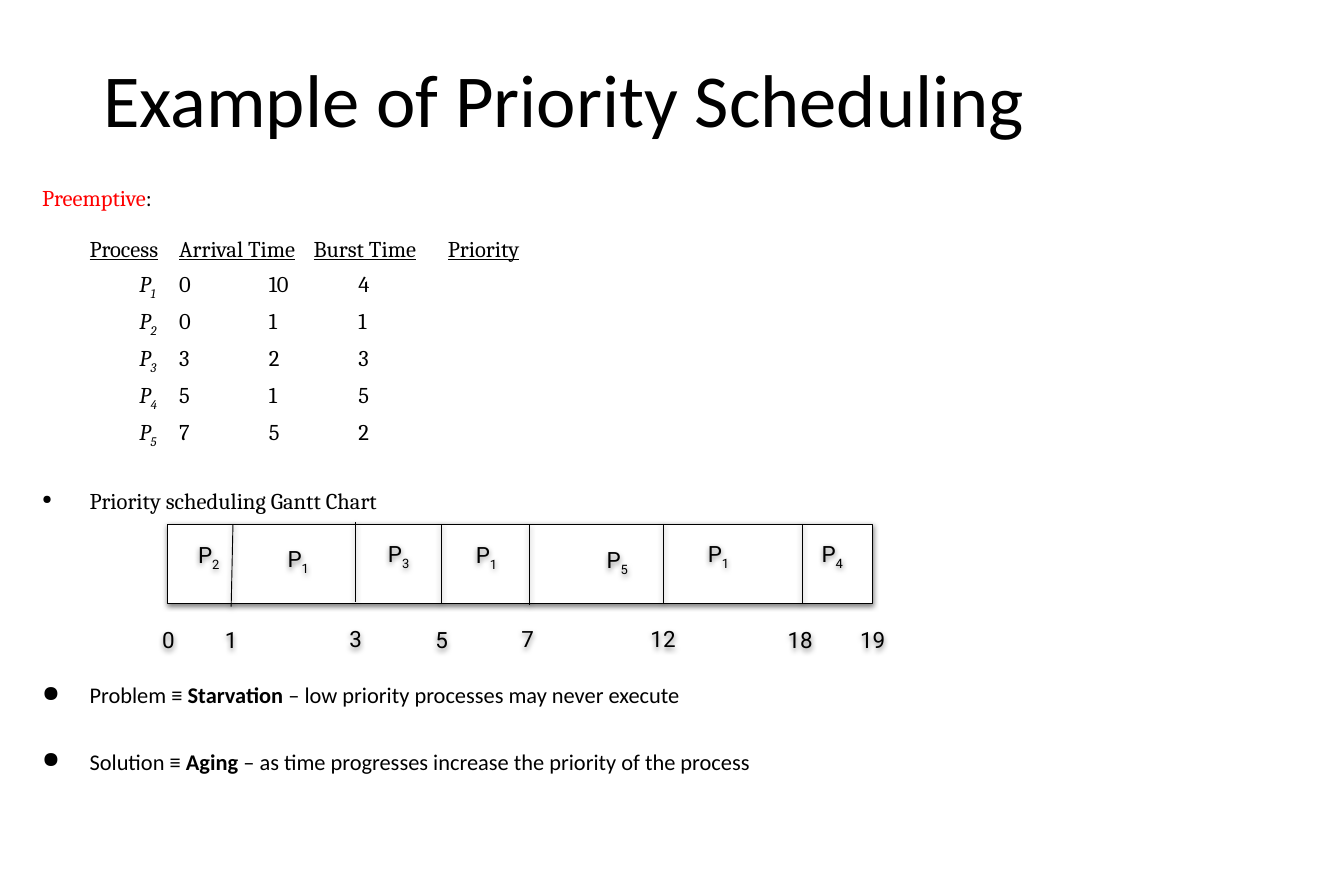
from dataclasses import dataclass

import pptx
import pptx.dml.color
import pptx.enum.shapes
import pptx.enum.text
import pptx.oxml
import pptx.oxml.ns
import pptx.util

EMU_PER_PX = 9144  # 100 px to the inch


@dataclass(frozen=True)
class Theme:
    black: str = "000000"
    white: str = "FFFFFF"
    red: str = "FF0000"
    sans: str = "Calibri"
    serif: str = "Cambria"
    label: str = "Roboto"
    title_size: float = 60
    table_size: float = 18.1
    text_size: float = 18
    line_width: float = 0.75


THEME = Theme()


@dataclass(frozen=True)
class Style:
    font: str
    size: float
    color: str = THEME.black
    bold: bool = False
    italic: bool = False
    underline: bool = False
    subscript: bool = False


@dataclass(frozen=True)
class Box:
    left: int
    top: int
    width: int
    height: int


@dataclass(frozen=True)
class Process:
    number: str
    arrival: str
    burst: str
    priority: str


@dataclass(frozen=True)
class Label:
    text: str
    left: int
    top: int
    subscript: str = ""


@dataclass(frozen=True)
class Divider:
    x: int
    top: int = 585
    height: int = 89
    lean: int = 0


PROCESSES = [
    Process("1", "0", "10", "4"),
    Process("2", "0", "1", "1"),
    Process("3", "3", "2", "3"),
    Process("4", "5", "1", "5"),
    Process("5", "7", "5", "2"),
]
GANTT_BAR = Box(187, 585, 787, 89)
DIVIDERS = [
    Divider(260, height=92, lean=-2), Divider(397, top=583), Divider(493),
    Divider(591, top=586), Divider(741), Divider(896),
]
LABELS = [
    Label("P", 210, 601, "2"), Label("P", 310, 606, "1"), Label("P", 422, 600, "3"),
    Label("P", 520, 601, "1"), Label("P", 666, 607, "5"), Label("P", 779, 600, "1"),
    Label("P", 906, 600, "4"),
    Label("0", 171, 694), Label("1", 241, 694), Label("3", 380, 693),
    Label("5", 476, 694), Label("7", 572, 693), Label("12", 716, 693),
    Label("18", 869, 694), Label("19", 950, 694),
]
REMARKS = [
    ("Problem ≡ ", "Starvation ", "– low priority processes may never execute"),
    ("Solution ≡ ", "Aging ", "– as time progresses increase the priority of the process"),
]


def px(length: int) -> pptx.util.Emu:
    return pptx.util.Emu(length * EMU_PER_PX)


def rgb(color: str) -> pptx.dml.color.RGBColor:
    return pptx.dml.color.RGBColor.from_string(color)


def add_text_frame(shapes, box: Box, inset_x: int = 14, inset_y: int = 7,
                   wrap: bool = True):
    shape = shapes.add_textbox(px(box.left), px(box.top), px(box.width), px(box.height))
    frame = shape.text_frame
    frame.word_wrap = wrap
    frame.margin_left = frame.margin_right = px(inset_x)
    frame.margin_top = frame.margin_bottom = px(inset_y)
    return shape, frame


def add_span(para, text: str, style: Style) -> None:
    span = para.add_run()
    span.text = text
    font = span.font
    font.name, font.size = style.font, pptx.util.Pt(style.size)
    font.color.rgb = rgb(style.color)
    font.bold, font.italic, font.underline = style.bold, style.italic, style.underline
    if style.subscript:
        span._r.get_or_add_rPr().set("baseline", "-25000")


def add_para(frame, spacing: float, before: float = 0, bullet_percent: int = 0):
    """Add a paragraph with a hanging indent, reusing the frame's first empty one."""
    first = frame.paragraphs[0]
    para = frame.add_paragraph() if first.runs else first
    para.line_spacing = spacing
    para.space_before = pptx.util.Pt(before)
    props = para._p.get_or_add_pPr()
    props.set("marL", str(px(53)))
    props.set("indent", str(-px(53)))
    if bullet_percent:
        color = pptx.oxml.parse_xml(
            f'<a:buClr {pptx.oxml.ns.nsdecls("a")}><a:srgbClr val="{THEME.black}"/></a:buClr>')
        size = pptx.oxml.parse_xml(
            f'<a:buSzPct {pptx.oxml.ns.nsdecls("a")} val="{bullet_percent * 1000}"/>')
        mark = pptx.oxml.parse_xml(f'<a:buChar {pptx.oxml.ns.nsdecls("a")} char="●"/>')
        props.extend([color, size, mark])
    return para


def add_shadow(shape) -> None:
    shape._element.spPr.append(pptx.oxml.parse_xml(
        f'<a:effectLst {pptx.oxml.ns.nsdecls("a")}>'
        '<a:outerShdw blurRad="57150" dist="19050" dir="5400000" algn="bl" rotWithShape="0">'
        f'<a:srgbClr val="{THEME.black}"><a:alpha val="50000"/></a:srgbClr>'
        '</a:outerShdw></a:effectLst>'))


def set_line(shape) -> None:
    shape.line.color.rgb = rgb(THEME.black)
    shape.line.width = pptx.util.Pt(THEME.line_width)


def draw_title(page) -> None:
    _, frame = add_text_frame(page.shapes, Box(101, 40, 1324, 126))
    frame.vertical_anchor = pptx.enum.text.MSO_ANCHOR.BOTTOM
    add_span(frame.paragraphs[0], "Example of Priority Scheduling",
             Style(THEME.sans, THEME.title_size))


def draw_processes(page) -> None:
    _, frame = add_text_frame(page.shapes, Box(33, 200, 840, 369))
    plain = Style(THEME.serif, THEME.table_size)
    heading = Style(THEME.serif, THEME.table_size, underline=True)
    italic = Style(THEME.serif, THEME.table_size, italic=True)
    index = Style(THEME.serif, THEME.table_size, italic=True, subscript=True)

    para = add_para(frame, 0.95)
    add_span(para, "Preemptive", Style(THEME.serif, THEME.table_size, THEME.red))
    add_span(para, ":", plain)

    para = add_para(frame, 0.95, before=20.5)
    for name in ("Process", "Arrival Time", "Burst Time", "Priority"):
        add_span(para, "\t", plain)
        add_span(para, name, heading)

    for process in PROCESSES:
        para = add_para(frame, 0.95, before=6.3)
        add_span(para, "\t\t ", plain)
        add_span(para, "P", italic)
        add_span(para, process.number, index)
        add_span(para, f"\t{process.arrival}\t\t{process.burst}\t\t{process.priority}", plain)

    para = add_para(frame, 0.95, before=33, bullet_percent=56)
    add_span(para, "Priority scheduling Gantt Chart", plain)


def draw_remarks(page) -> None:
    _, frame = add_text_frame(page.shapes, Box(33, 749, 1233, 191))
    plain = Style(THEME.sans, THEME.text_size)
    strong = Style(THEME.sans, THEME.text_size, bold=True)
    for number, (opening, term, meaning) in enumerate(REMARKS):
        para = add_para(frame, 1.15, before=28.7 * number, bullet_percent=100)
        add_span(para, opening, plain)
        add_span(para, term, strong)
        add_span(para, meaning, plain)


def draw_label(shapes, label: Label) -> None:
    width = 46 if label.subscript else 20 + 14 * len(label.text)
    shape, frame = add_text_frame(shapes, Box(label.left, label.top, width, 40), 10, 5, False)
    frame.vertical_anchor = pptx.enum.text.MSO_ANCHOR.MIDDLE
    para = frame.paragraphs[0]
    para.alignment = pptx.enum.text.PP_ALIGN.CENTER
    add_span(para, label.text, Style(THEME.label, THEME.text_size))
    if label.subscript:
        add_span(para, label.subscript, Style(THEME.label, THEME.text_size, subscript=True))
    add_shadow(shape)


def draw_gantt(page) -> None:
    shapes = page.shapes.add_group_shape().shapes
    bar = shapes.add_shape(pptx.enum.shapes.MSO_SHAPE.RECTANGLE, px(GANTT_BAR.left),
                           px(GANTT_BAR.top), px(GANTT_BAR.width), px(GANTT_BAR.height))
    bar.fill.solid()
    bar.fill.fore_color.rgb = rgb(THEME.white)
    set_line(bar)
    add_shadow(bar)
    for divider in DIVIDERS:
        line = shapes.add_connector(
            pptx.enum.shapes.MSO_CONNECTOR.STRAIGHT, px(divider.x), px(divider.top),
            px(divider.x + divider.lean), px(divider.top + divider.height))
        set_line(line)
        add_shadow(line)
    for label in LABELS:
        draw_label(shapes, label)


def main() -> None:
    deck = pptx.Presentation()
    deck.slide_width, deck.slide_height = px(1500), px(1000)
    page = deck.slides.add_slide(deck.slide_layouts[6])
    draw_title(page)
    draw_processes(page)
    draw_remarks(page)
    draw_gantt(page)
    deck.save("out.pptx")


if __name__ == "__main__":
    main()
